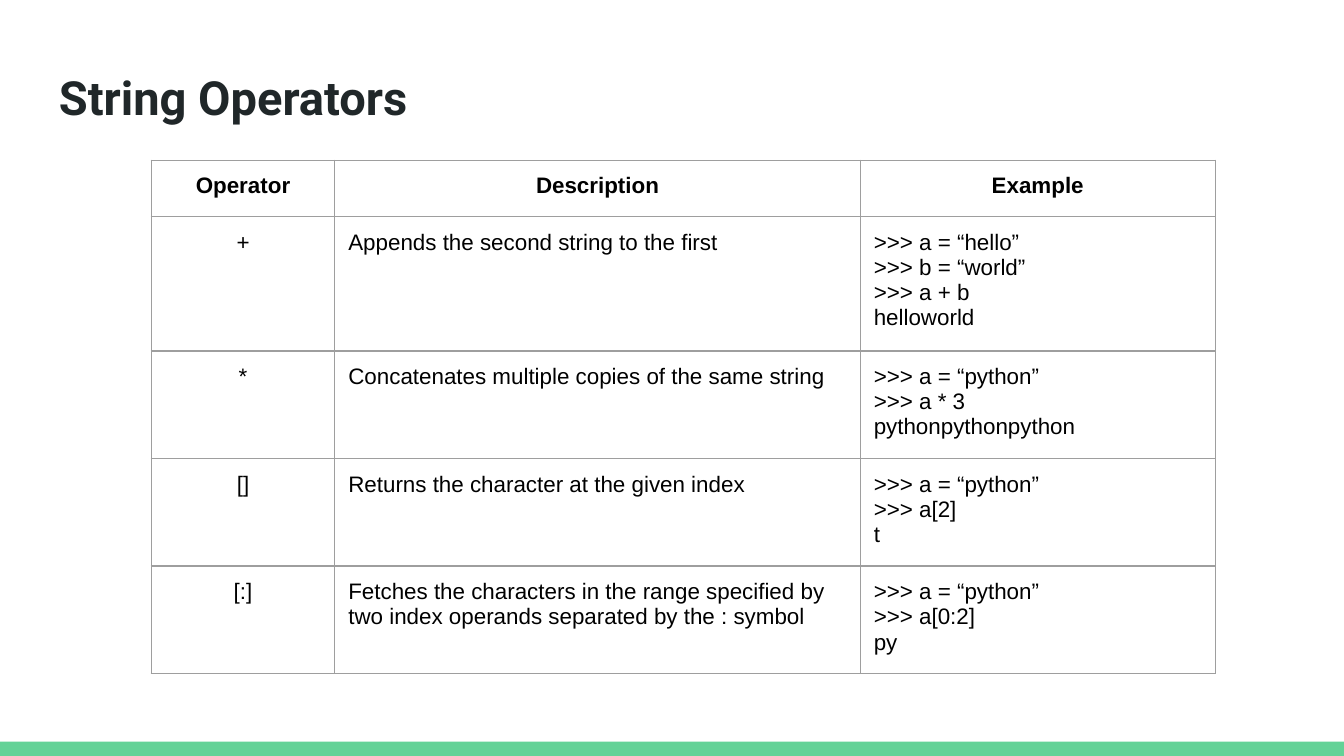
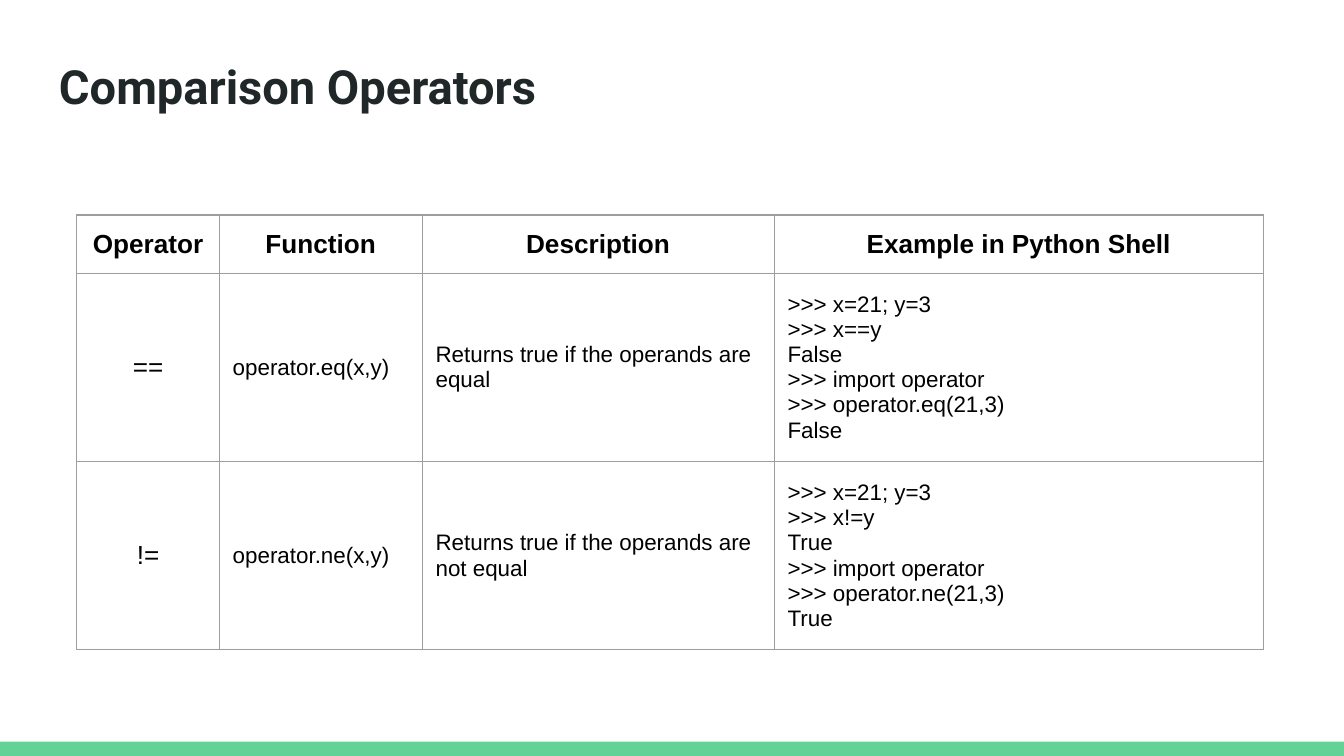
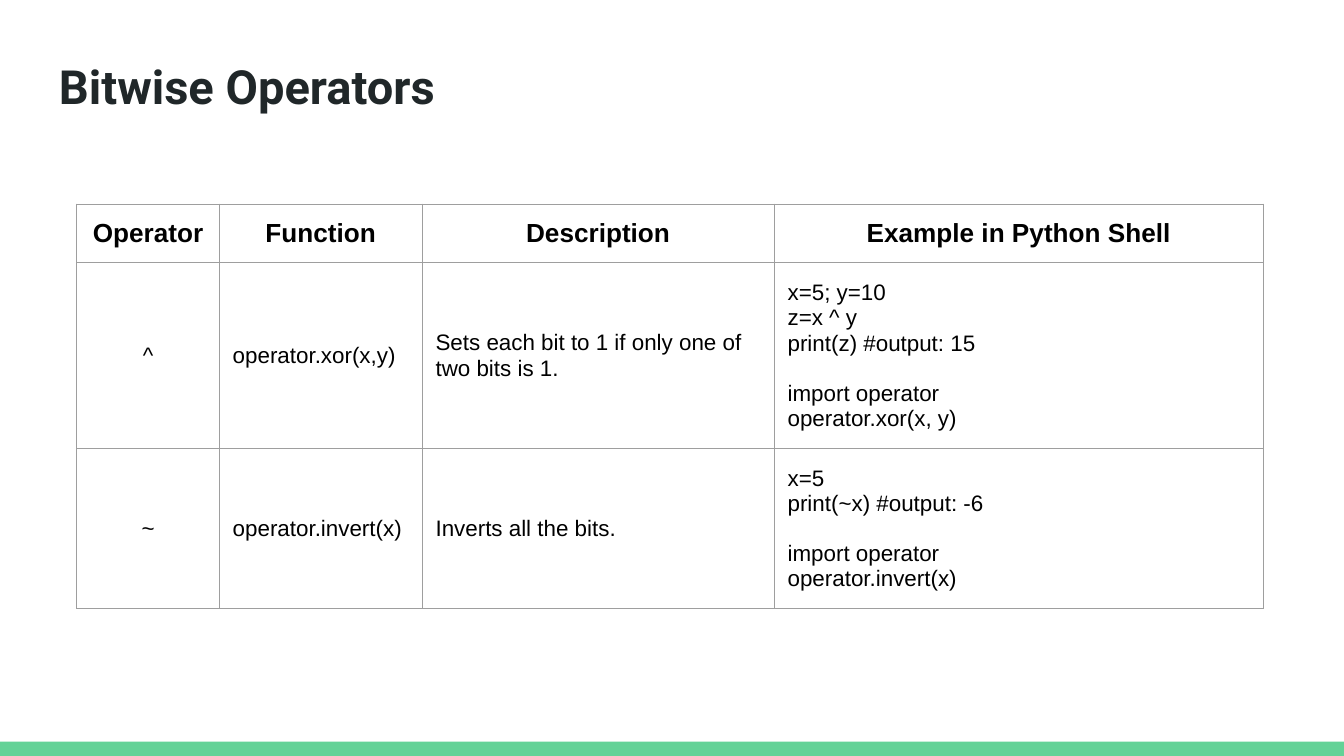
from dataclasses import dataclass

from lxml.etree import SubElement
from pptx import Presentation
from pptx.dml.color import RGBColor
from pptx.enum.shapes import MSO_SHAPE
from pptx.enum.text import MSO_ANCHOR, PP_ALIGN
from pptx.oxml.ns import qn
from pptx.slide import Slide
from pptx.table import _Cell
from pptx.text.text import _Paragraph
from pptx.util import Pt

WHITE = RGBColor(0xFF, 0xFF, 0xFF)
GREEN = RGBColor(0x63, 0xD2, 0x97)
INK = RGBColor(0x20, 0x27, 0x29)
BLACK = RGBColor(0x00, 0x00, 0x00)
GRAY = RGBColor(0x9E, 0x9E, 0x9E)

TITLE_FONT = "Roboto"
TABLE_FONT = "Arial"
SLIDE_WIDTH = Pt(720)
SLIDE_HEIGHT = Pt(405)
BAND_HEIGHT = Pt(7.7)
INSET = Pt(7.2)
BORDER = Pt(0.75)
ROW_HEIGHT = Pt(30.2)
BODY_SIZE = Pt(12)
CODE_GAP = Pt(13.4)


@dataclass(frozen=True)
class TableStyle:
    left: Pt
    widths: tuple[Pt, ...]
    header: tuple[str, ...]
    header_size: Pt
    anchor: MSO_ANCHOR


@dataclass(frozen=True)
class OperatorSlide:
    title: str
    title_top: Pt
    table_top: Pt
    style: TableStyle
    operator_size: Pt
    rows: tuple[tuple[str, ...], ...]


STRING_STYLE = TableStyle(
    Pt(81),
    (Pt(98.4), Pt(281.5), Pt(190.1)),
    ("Operator", "Description", "Example"),
    Pt(12),
    MSO_ANCHOR.TOP,
)
FUNCTION_STYLE = TableStyle(
    Pt(41.2),
    (Pt(76.3), Pt(108.7), Pt(188.6), Pt(262.1)),
    ("Operator", "Function", "Description", "Example in Python Shell"),
    Pt(14),
    MSO_ANCHOR.MIDDLE,
)

SLIDES = (
    OperatorSlide("String Operators", Pt(29), Pt(85.8), STRING_STYLE, Pt(12), (
        ("+", "Appends the second string to the first",
         ">>> a = “hello”\n>>> b = “world”\n>>> a + b\nhelloworld"),
        ("*", "Concatenates multiple copies of the same string",
         ">>> a = “python”\n>>> a * 3\npythonpythonpython"),
        ("[]", "Returns the character at the given index",
         ">>> a = “python”\n>>> a[2]\nt"),
        ("[:]", "Fetches the characters in the range specified by "
         "two index operands separated by the : symbol",
         ">>> a = “python”\n>>> a[0:2]\npy"),
    )),
    OperatorSlide("Comparison Operators", Pt(23), Pt(115.2), FUNCTION_STYLE, Pt(14), (
        ("==", "operator.eq(x,y)", "Returns true if the operands are equal",
         ">>> x=21; y=3\n>>> x==y\nFalse\n"
         ">>> import operator\n>>> operator.eq(21,3)\nFalse"),
        ("!=", "operator.ne(x,y)", "Returns true if the operands are not equal",
         ">>> x=21; y=3\n>>> x!=y\nTrue\n"
         ">>> import operator\n>>> operator.ne(21,3)\nTrue"),
    )),
    OperatorSlide("Bitwise Operators", Pt(23), Pt(109.4), FUNCTION_STYLE, Pt(12), (
        ("^", "operator.xor(x,y)", "Sets each bit to 1 if only one of two bits is 1.",
         "x=5; y=10\nz=x ^ y\nprint(z) #output: 15\n\n"
         "import operator\noperator.xor(x, y)"),
        ("~", "operator.invert(x)", "Inverts all the bits.",
         "x=5\nprint(~x) #output: -6\n\nimport operator\noperator.invert(x)"),
    )),
)


def add_span(para: _Paragraph, text: str, font: str, size: Pt,
             color: RGBColor, bold: bool) -> None:
    span = para.add_run()
    span.text = text
    span.font.name = font
    span.font.size = size
    span.font.color.rgb = color
    span.font.bold = bold


def add_band(page: Slide) -> None:
    band = page.shapes.add_shape(
        MSO_SHAPE.RECTANGLE, 0, SLIDE_HEIGHT - BAND_HEIGHT, SLIDE_WIDTH, BAND_HEIGHT)
    band.shadow.inherit = False
    band.fill.solid()
    band.fill.fore_color.rgb = GREEN
    band.line.fill.background()


def add_title(page: Slide, text: str, top: Pt) -> None:
    box = page.shapes.add_textbox(Pt(24.5), top, Pt(671), Pt(45.4))
    frame = box.text_frame
    frame.word_wrap = True
    frame.vertical_anchor = MSO_ANCHOR.MIDDLE
    frame.margin_left = frame.margin_right = INSET
    frame.margin_top = frame.margin_bottom = INSET
    add_span(frame.paragraphs[0], text, TITLE_FONT, Pt(25.2), INK, True)


def format_cell(cell: _Cell, anchor: MSO_ANCHOR) -> None:
    cell.margin_left = cell.margin_right = INSET
    cell.margin_top = cell.margin_bottom = INSET
    cell.vertical_anchor = anchor
    properties = cell._tc.get_or_add_tcPr()
    for side in ("a:lnL", "a:lnR", "a:lnT", "a:lnB"):
        line = SubElement(properties, qn(side), w=str(BORDER))
        fill = SubElement(line, qn("a:solidFill"))
        SubElement(fill, qn("a:srgbClr"), val=str(GRAY))
    cell.fill.background()


def write_cell(cell: _Cell, text: str, size: Pt, bold: bool, centered: bool) -> None:
    frame = cell.text_frame
    for block_index, block in enumerate(text.split("\n\n")):
        for line_index, line in enumerate(block.split("\n")):
            first = block_index == line_index == 0
            para = frame.paragraphs[0] if first else frame.add_paragraph()
            para.alignment = PP_ALIGN.CENTER if centered else PP_ALIGN.LEFT
            if block_index and not line_index:
                para.space_before = CODE_GAP
            add_span(para, line, TABLE_FONT, size, BLACK, bold)


def add_operator_table(page: Slide, content: OperatorSlide) -> None:
    style = content.style
    rows = (style.header, *content.rows)
    table = page.shapes.add_table(
        len(rows), len(style.widths), style.left, content.table_top,
        sum(style.widths), ROW_HEIGHT * len(rows)).table
    table.first_row = False
    table.horz_banding = False
    for column, width in zip(table.columns, style.widths):
        column.width = width
    for row_index, row in enumerate(rows):
        for column_index, text in enumerate(row):
            is_header = row_index == 0
            is_operator = column_index == 0
            size = BODY_SIZE
            if is_header:
                size = style.header_size
            elif is_operator:
                size = content.operator_size
            cell = table.cell(row_index, column_index)
            format_cell(cell, style.anchor)
            write_cell(cell, text, size, is_header, is_header or is_operator)


def main() -> None:
    deck = Presentation()
    deck.slide_width = SLIDE_WIDTH
    deck.slide_height = SLIDE_HEIGHT
    for content in SLIDES:
        page = deck.slides.add_slide(deck.slide_layouts[6])
        page.background.fill.solid()
        page.background.fill.fore_color.rgb = WHITE
        add_band(page)
        add_title(page, content.title, content.title_top)
        add_operator_table(page, content)
    deck.save("out.pptx")


if __name__ == "__main__":
    main()
